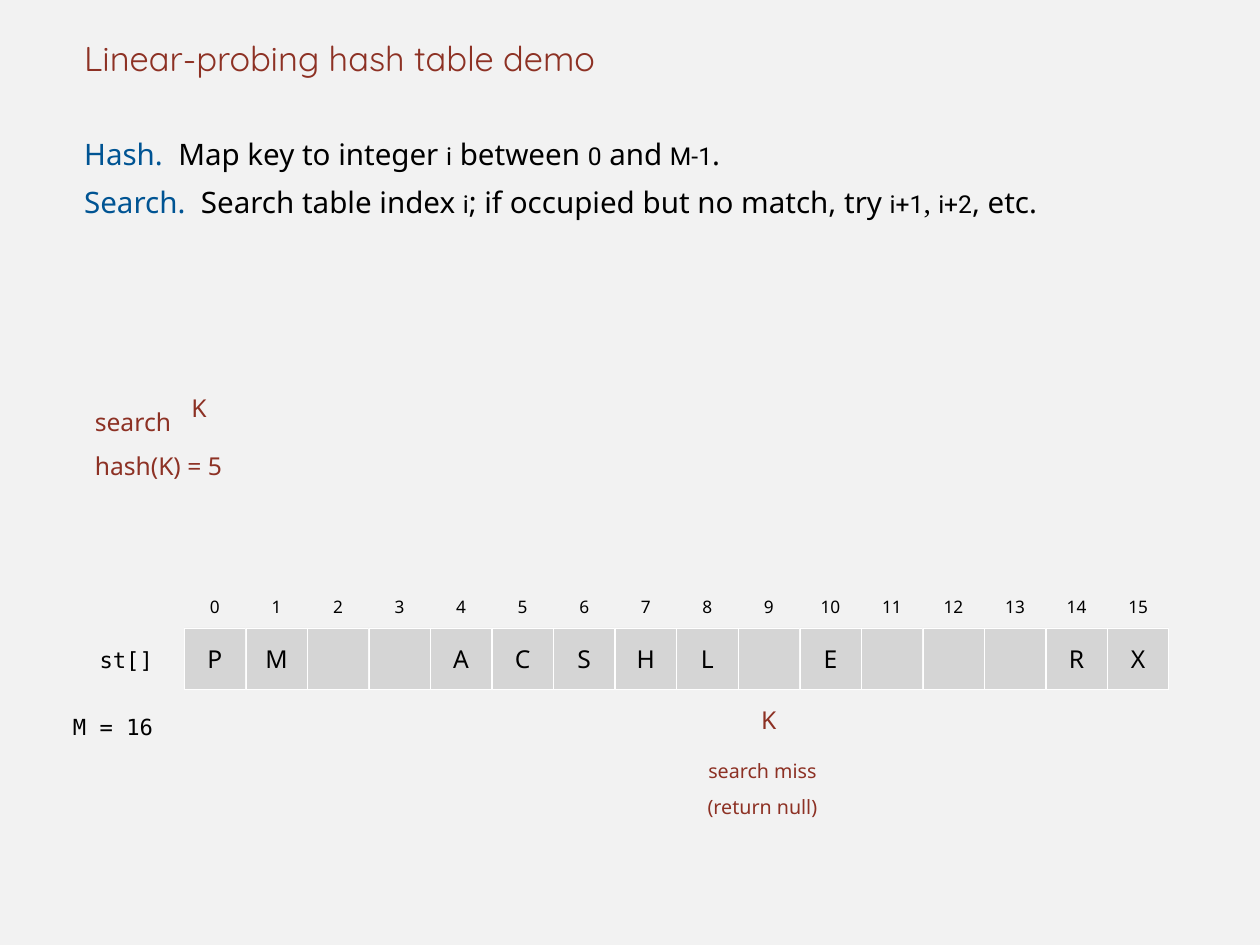
from pptx import Presentation
from pptx.dml.color import RGBColor
from pptx.enum.shapes import MSO_SHAPE
from pptx.enum.text import MSO_ANCHOR, PP_ALIGN
from pptx.util import Inches, Pt

RECT = MSO_SHAPE.RECTANGLE
TOP, MIDDLE, BOTTOM = MSO_ANCHOR.TOP, MSO_ANCHOR.MIDDLE, MSO_ANCHOR.BOTTOM
LEFT, CENTER = PP_ALIGN.LEFT, PP_ALIGN.CENTER

BACKGROUND, GRAY, WHITE = "F2F2F2", "D5D5D5", "FFFFFF"
BLACK, BLUE, RED = "000000", "005493", "8D3124"

# Run styles: font, size, colour
TITLE = ("Quicksand", 28, RED)
TERM = ("Noto Sans", 24, BLUE)
BODY = ("Noto Sans", 24, BLACK)
COMMA = ("Times New Roman", 24, BLACK)
SYMBOL = ("Roboto", 20, BLACK)
INDEX = ("Noto Sans", 14, BLACK)
KEY = ("Noto Sans", 20, BLACK)
ACTIVE = ("Noto Sans", 20, RED)
RESULT = ("Noto Sans", 16, RED)
MONO = ("DejaVu Sans Mono", 18, BLACK)

HEADING = [[("Linear-probing hash table demo", TITLE)]]
RULES = [
    [("Hash.  ", TERM), ("Map key to integer ", BODY), ("i", SYMBOL),
     (" between ", BODY), ("0", SYMBOL), (" and ", BODY), ("M-1", SYMBOL),
     (".", BODY)],
    [("Search.  ", TERM), ("Search table index ", BODY), ("i", SYMBOL),
     ("; if occupied but no match, try ", BODY), ("i+1", SYMBOL),
     (", ", COMMA), ("i+2", SYMBOL), (", etc.", BODY)],
]
OPERATION = [[("search", ACTIVE)], [("hash(K) = 5", ACTIVE)]]
OUTCOME = [[("search miss", RESULT)], [("(return null)", RESULT)]]
SEARCH_KEY = [[("K", ACTIVE)]]
SLOTS = ["P", "M", "", "", "A", "C", "S", "H", "L", "", "E", "", "", "", "R", "X"]
MISS_SLOT = 9

CELL = 0.69
FIRST_X, LAST_X = 2.08, 12.5
PITCH = (LAST_X - FIRST_X) / (len(SLOTS) - 1)
INDEX_Y, INDEX_H = 6.61, 0.48
CELL_Y = INDEX_Y + INDEX_H
INDENT = 0.06


def color(hex_string):
    return RGBColor.from_string(hex_string)


def write(shape, paragraphs, align=CENTER, anchor=MIDDLE, spacing=None, indent=0):
    tf = shape.text_frame
    tf.word_wrap = True
    tf.vertical_anchor = anchor
    tf.margin_left = tf.margin_right = tf.margin_top = tf.margin_bottom = 0
    for i, runs in enumerate(paragraphs):
        p = tf.add_paragraph() if i else tf.paragraphs[0]
        p.alignment = align
        p.line_spacing = spacing
        if indent:
            p._p.get_or_add_pPr().set("marL", str(Inches(indent)))
        for text, (font, size, hue) in runs:
            r = p.add_run()
            r.text = text
            r.font.name = font
            r.font.size = Pt(size)
            r.font.color.rgb = color(hue)


def add_text(s, x, y, w, h, paragraphs, **layout):
    box = s.shapes.add_textbox(Inches(x), Inches(y), Inches(w), Inches(h))
    write(box, paragraphs, **layout)


def add_slot(s, x, key):
    cell = s.shapes.add_shape(RECT, Inches(x), Inches(CELL_Y), Inches(CELL), Inches(CELL))
    cell.shadow.inherit = False
    cell.fill.solid()
    cell.fill.fore_color.rgb = color(GRAY)
    cell.line.color.rgb = color(WHITE)
    cell.line.width = Pt(0.5)
    if key:
        write(cell, [[(key, KEY)]])


def main():
    prs = Presentation()
    prs.slide_width, prs.slide_height = Inches(14.22), Inches(10.67)
    s = prs.slides.add_slide(prs.slide_layouts.get_by_name("Title Only"))
    s.background.fill.solid()
    s.background.fill.fore_color.rgb = color(BACKGROUND)

    title = s.shapes.title
    title.left, title.top = Inches(0.89), Inches(0)
    title.width, title.height = Inches(12.44), Inches(0.89)
    write(title, HEADING, align=LEFT, anchor=BOTTOM, indent=INDENT)

    add_text(s, 0.89, 1.39, 12.44, 1.2, RULES,
             align=LEFT, anchor=TOP, spacing=Pt(39), indent=INDENT)

    for i, key in enumerate(SLOTS):
        x = FIRST_X + i * PITCH
        add_slot(s, x, key)
        add_text(s, x, INDEX_Y, CELL, INDEX_H, [[(str(i), INDEX)]])

    add_text(s, 1.01, 7.24, 0.83, 0.4, [[("st[]", MONO)]], anchor=TOP, spacing=1.2)
    add_text(s, 0.71, 8, 1.13, 0.56, [[("M = 16", MONO)]], anchor=TOP, spacing=1.2)

    add_text(s, 1.01, 4.43, 1.72, 0.91, OPERATION,
             align=LEFT, anchor=TOP, spacing=1.5, indent=INDENT)
    add_text(s, 1.9, 4.26, CELL, CELL, SEARCH_KEY)
    add_text(s, FIRST_X + MISS_SLOT * PITCH, CELL_Y + CELL, CELL, CELL, SEARCH_KEY)
    add_text(s, 7.81, 8.44, 1.53, 0.74, OUTCOME, anchor=TOP, spacing=1.5, indent=INDENT)

    prs.save("out.pptx")


if __name__ == "__main__":
    main()
